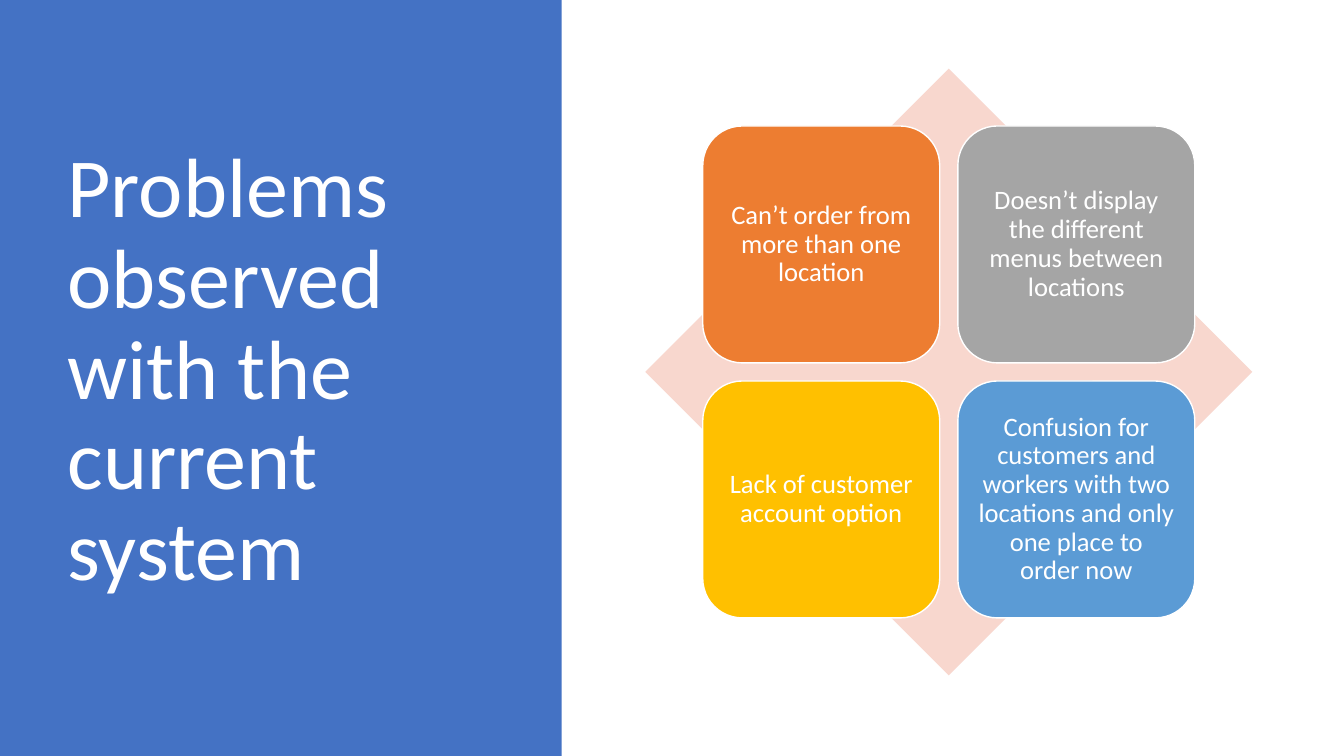
import pptx
import pptx.util
from dataclasses import dataclass
from pptx.dml.color import RGBColor
from pptx.enum.shapes import MSO_SHAPE
from pptx.enum.text import MSO_ANCHOR, MSO_AUTO_SIZE, PP_ALIGN

Inches = pptx.util.Inches


@dataclass(frozen=True)
class Theme:
    font: str = "Calibri"
    title_size: int = 60
    tile_size: int = 19
    line_spacing: float = 0.9
    white: str = "FFFFFF"
    panel: str = "4472C4"
    diamond: str = "F8D7CE"
    tiles: tuple = ("ED7D31", "A5A5A5", "FFC000", "5B9BD5")


def write_text(shape, text, *, font, size, color, align, line_spacing, inset=None):
    """Fill a shape with one formatted, vertically centred paragraph."""
    frame = shape.text_frame
    frame.word_wrap = True
    frame.auto_size = MSO_AUTO_SIZE.NONE
    frame.vertical_anchor = MSO_ANCHOR.MIDDLE
    if inset is not None:
        frame.margin_left = frame.margin_right = Inches(inset)
        frame.margin_top = frame.margin_bottom = Inches(inset)
    paragraph = frame.paragraphs[0]
    paragraph.alignment = align
    paragraph.line_spacing = line_spacing
    run = paragraph.add_run()
    run.text = text
    run.font.name = font
    run.font.size = pptx.util.Pt(size)
    run.font.color.rgb = RGBColor.from_string(color)


class SlideBuilder:
    def __init__(self, presentation, theme):
        self.theme = theme
        self.slide = presentation.slides.add_slide(presentation.slide_layouts[5])

    def add_block(self, shapes, preset, left, top, width, height, fill, line=None):
        shape = shapes.add_shape(
            preset, Inches(left), Inches(top), Inches(width), Inches(height))
        shape.shadow.inherit = False
        shape.fill.solid()
        shape.fill.fore_color.rgb = RGBColor.from_string(fill)
        if line:
            shape.line.color.rgb = RGBColor.from_string(line)
            shape.line.width = pptx.util.Pt(1)
        else:
            shape.line.fill.background()
        return shape

    def add_title_panel(self, text):
        theme = self.theme
        title = self.slide.shapes.title
        title.left, title.top = Inches(0.57), Inches(0.68)
        title.width, title.height = Inches(4.16), Inches(6.02)
        write_text(title, text, font=theme.font, size=theme.title_size,
                   color=theme.white, align=PP_ALIGN.LEFT,
                   line_spacing=theme.line_spacing)
        panel = self.add_block(self.slide.shapes, MSO_SHAPE.RECTANGLE,
                               0, 0, 5.57, 7.5, theme.panel)
        # The panel belongs behind the title
        title.element.addprevious(panel.element)

    def add_matrix(self, problems):
        theme = self.theme
        left, top, side = 6.4, 0.68, 6.02
        margin, tile, pitch = 0.57, 2.35, 2.53
        group = self.slide.shapes.add_group_shape()
        self.add_block(group.shapes, MSO_SHAPE.DIAMOND,
                       left, top, side, side, theme.diamond)
        for index, (problem, color) in enumerate(zip(problems, theme.tiles)):
            row, column = divmod(index, 2)
            shape = self.add_block(
                group.shapes, MSO_SHAPE.ROUNDED_RECTANGLE,
                left + margin + column * pitch, top + margin + row * pitch,
                tile, tile, color, line=theme.white)
            write_text(shape, problem, font=theme.font, size=theme.tile_size,
                       color=theme.white, align=PP_ALIGN.CENTER,
                       line_spacing=theme.line_spacing, inset=0.08)


def main():
    presentation = pptx.Presentation()
    presentation.slide_width = Inches(13.33)
    presentation.slide_height = Inches(7.5)
    builder = SlideBuilder(presentation, Theme())

    # Left: title on a coloured panel
    builder.add_title_panel("Problems observed with the current system")

    # Right: two-by-two matrix over a diamond
    builder.add_matrix([
        "Can’t order from more than one location",
        "Doesn’t display the different menus between locations",
        "Lack of customer account option",
        "Confusion for customers and workers with two locations "
        "and only one place to order now",
    ])
    presentation.save("out.pptx")


if __name__ == "__main__":
    main()
